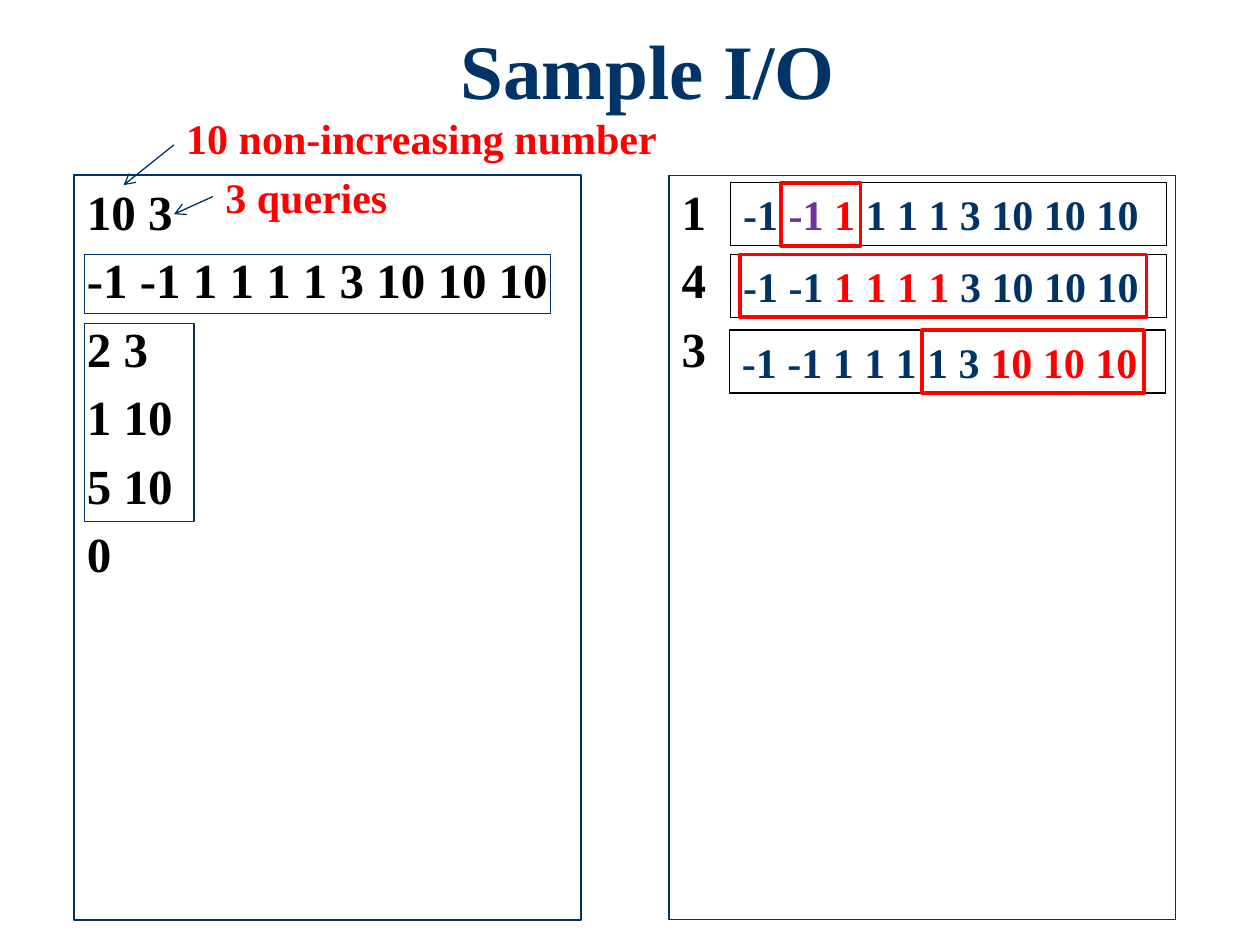
from pptx import Presentation
from pptx.dml.color import RGBColor
from pptx.enum.shapes import MSO_CONNECTOR, MSO_SHAPE
from pptx.enum.text import MSO_ANCHOR, MSO_AUTO_SIZE, PP_ALIGN
from pptx.oxml.ns import qn
from pptx.util import Inches, Pt
from lxml.etree import SubElement

NAVY = RGBColor(0x00, 0x33, 0x66)
BLACK = RGBColor(0x00, 0x00, 0x00)
RED = RGBColor(0xFF, 0x00, 0x00)
PURPLE = RGBColor(0x70, 0x30, 0xA0)
WHITE = RGBColor(0xFF, 0xFF, 0xFF)


def write(paragraph, text, size=24, color=NAVY):
    run = paragraph.add_run()
    run.text = text
    run.font.name = "Times New Roman"
    run.font.size = Pt(size)
    run.font.bold = True
    run.font.color.rgb = color


def add_frame(left, top, width, height, color, weight):
    frame = slide.shapes.add_shape(MSO_SHAPE.RECTANGLE, Inches(left), Inches(top),
                                   Inches(width), Inches(height))
    frame.shadow.inherit = False
    frame.fill.background()
    frame.line.color.rgb = color
    frame.line.width = Pt(weight)


prs = Presentation()
prs.slide_width, prs.slide_height = Inches(10), Inches(7.5)
slide = prs.slides.add_slide(prs.slide_layouts.get_by_name("Two Content"))
title, sample_input, sample_output = slide.placeholders

# Title
title.left, title.top = Inches(1.14), Inches(0.21)
title.width, title.height = Inches(8), Inches(0.92)
title.text_frame.vertical_anchor = MSO_ANCHOR.TOP
heading = title.text_frame.paragraphs[0]
heading.alignment = PP_ALIGN.CENTER
heading.line_spacing = 0.9
write(heading, "Sample I/O", size=44)

# Input and output panels
panels = [
    (sample_input, 0.59, 1,
     ["10 3", "-1 -1 1 1 1 1 3 10 10 10", "2 3", "1 10", "5 10", "0"]),
    (sample_output, 5.31, 0.75, ["1", "4", "3"]),
]
for panel, left, weight, lines in panels:
    panel.left, panel.top = Inches(left), Inches(1.39)
    panel.width, panel.height = Inches(4.02), Inches(5.91)
    panel.fill.solid()
    panel.fill.fore_color.rgb = WHITE
    panel.line.color.rgb = NAVY
    panel.line.width = Pt(weight)
    frame = panel.text_frame
    frame.auto_size = MSO_AUTO_SIZE.NONE
    frame.vertical_anchor = MSO_ANCHOR.TOP
    frame.margin_top = Inches(0.05)
    for index, line in enumerate(lines):
        paragraph = frame.add_paragraph() if index else frame.paragraphs[0]
        properties = paragraph._p.get_or_add_pPr()
        properties.set("marL", "0")
        properties.set("indent", "0")
        SubElement(properties, qn("a:buNone"))
        paragraph.space_before = Pt(5.5 if index else 0)
        write(paragraph, line, size=28, color=BLACK)

# Red notes, and the number list of each query with its answer coloured
texts = [
    (1.38, 0.84, 3.97, None, [("10 non-increasing number", RED)]),
    (1.69, 1.31, 1.5, None, [("3 queries", RED)]),
    (5.8, 1.45, 3.46, BLACK, [("-1 ", NAVY), ("-1 ", PURPLE), ("1", RED),
                              (" 1 1 1 3 10 10 10", NAVY)]),
    (5.8, 2.02, 3.46, BLACK, [("-1 -1 ", NAVY), ("1 1 1 1", RED),
                              (" 3 10 10 10", NAVY)]),
    (5.79, 2.62, 3.46, BLACK, [("-1 -1 1 1 1 1 3 ", NAVY), ("10 10 10", RED)]),
]
boxes = []
for left, top, width, border, parts in texts:
    box = slide.shapes.add_textbox(Inches(left), Inches(top), Inches(width), Inches(0.5))
    box.text_frame.word_wrap = False
    box.text_frame.auto_size = MSO_AUTO_SIZE.SHAPE_TO_FIT_TEXT
    if border is not None:
        box.line.color.rgb = border
        box.line.width = Pt(0.75)
    for text, color in parts:
        write(box.text_frame.paragraphs[0], text, color=color)
    boxes.append(box)
queries_note = boxes[1]

# Arrows from the notes to the first input line
arrows = []
for x1, y1, x2, y2 in [(1.38, 1.15, 0.98, 1.47), (1.69, 1.56, 1.38, 1.7)]:
    arrow = slide.shapes.add_connector(MSO_CONNECTOR.STRAIGHT, Inches(x1), Inches(y1),
                                       Inches(x2), Inches(y2))
    arrow.line.color.rgb = NAVY
    arrow.line.width = Pt(0.75)
    SubElement(arrow.line._get_or_add_ln(), qn("a:tailEnd"), type="arrow")
    SubElement(arrow._element.spPr, qn("a:effectLst"))
    arrows.append(arrow)
arrows[1].begin_connect(queries_note, 1)

# Frames around the queries and the numbers in the input
add_frame(0.67, 2.57, 0.87, 1.57, NAVY, 0.75)
add_frame(0.67, 2.02, 3.7, 0.47, NAVY, 0.75)

# Red frames around the queried ranges
for left, top, width in [(6.2, 1.45, 0.63), (5.87, 2.02, 3.23), (7.32, 2.62, 1.76)]:
    add_frame(left, top, width, 0.5, RED, 2.25)

prs.save("out.pptx")
